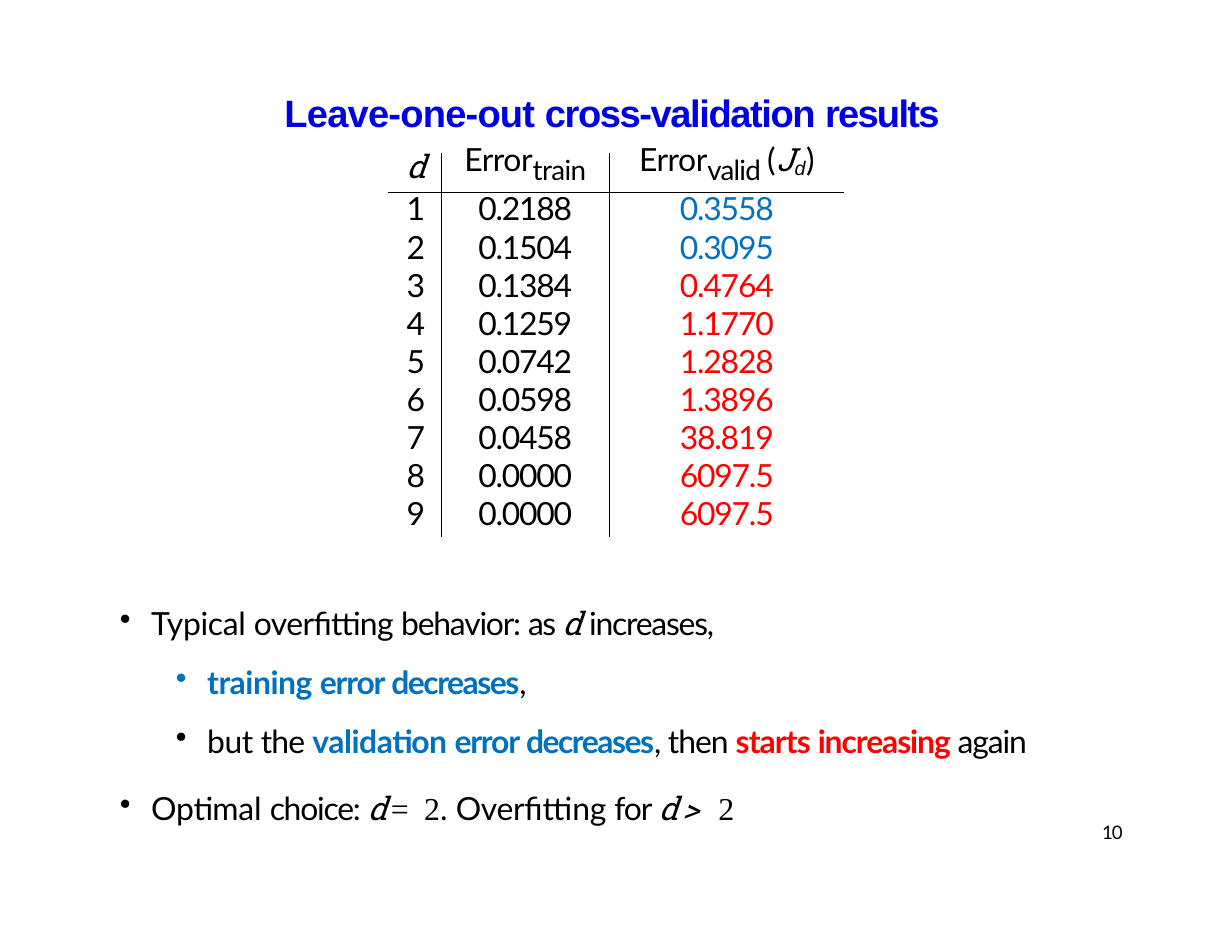
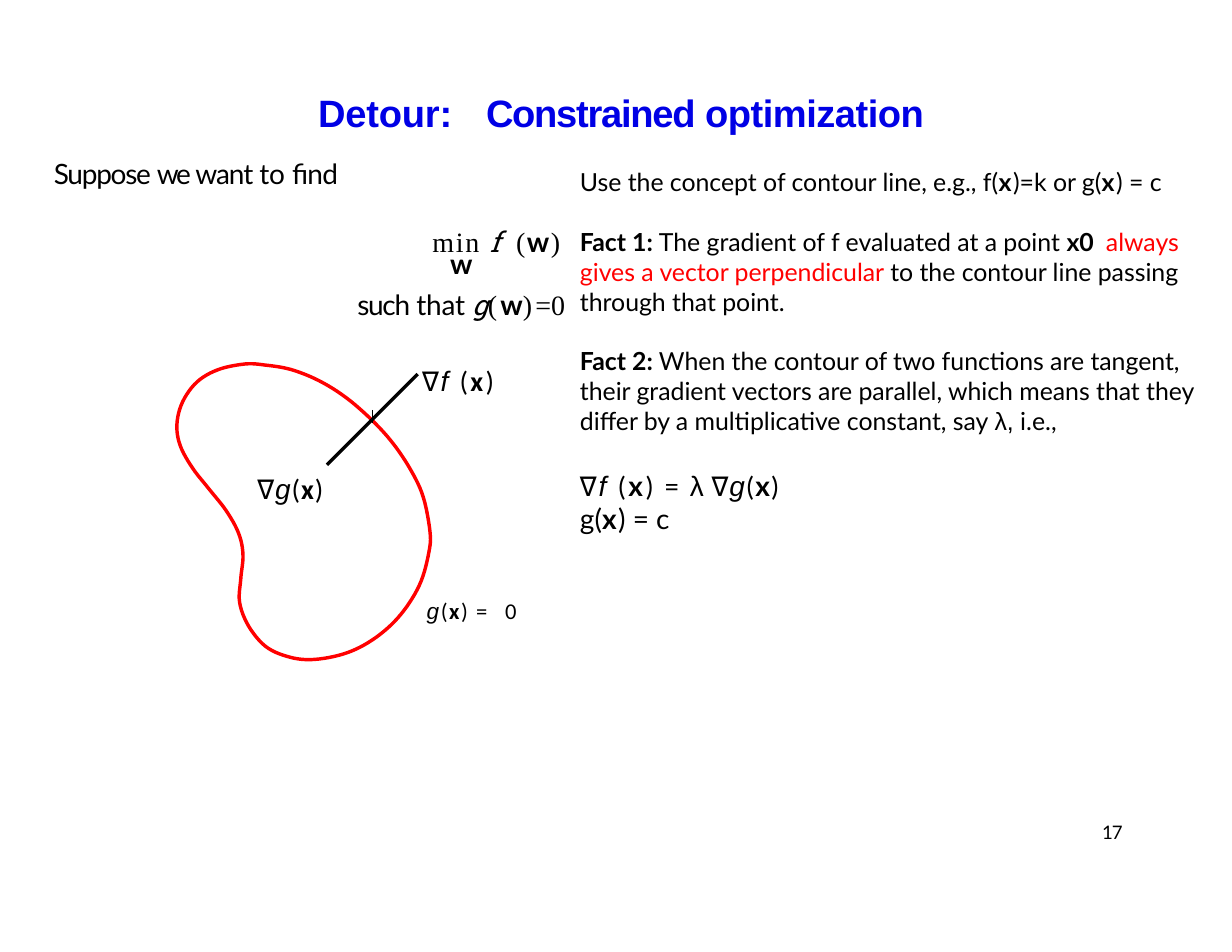
"""Builds two lecture slides on cross-validation and constrained optimization."""
from dataclasses import dataclass, field

from lxml import etree
from pptx import Presentation
from pptx import util as u
from pptx.dml.color import RGBColor
from pptx.enum import shapes, text
from pptx.oxml.ns import qn


@dataclass(frozen=True)
class Theme:
    """Colours, type sizes and faces (font, bold, italic)."""
    black: str = "000000"
    title_blue: str = "0000E5"
    blue: str = "0070C0"
    red: str = "FF0000"
    title: float = 24.5
    body: float = 20.5
    formula: float = 18
    note: float = 16
    label: float = 14.5
    footer: float = 12
    subscript: float = 30.8
    index: float = 21.8
    thin: float = 1
    thick: float = 2.2
    hair: float = 0.25
    plain_table: str = "{2D5ABB26-0587-4C30-8999-92F81FD0307C}"
    faces: dict = field(default_factory=lambda: {
        "title": ("Arial", True, False),
        "plain": ("Lato", False, False),
        "bold": ("Lato", True, False),
        "slab": ("Roboto Slab", False, True),
        "times": ("Times New Roman", False, False),
        "greek": ("Arial", False, False),
        "italic": ("Arial", False, True),
        "nabla": ("DejaVu Sans Mono", False, False),
        "math": ("Calibri", False, False),
        "vector": ("Calibri", True, False),
    })


THEME = Theme()


@dataclass
class Span:
    """A run of text in one face."""
    words: str
    face: str = "plain"
    spacing: float = 0
    color: str = THEME.black
    size: float = 0
    baseline: int = 0


@dataclass
class Para:
    """A paragraph of spans with its layout."""
    spans: list
    indent: float = 0
    hang: float = 0
    before: float = 0
    leading: object = None
    align: object = None
    bullet: str = ""
    tab: float = 0


class Lecture:
    """Holds the style and the current slide."""

    def __init__(self, theme):
        self.theme = theme
        self.deck = Presentation()
        self.deck.slide_width, self.deck.slide_height = u.Inches(11), u.Inches(8.5)
        self.page = None

    def slide(self, number, left, width, title):
        self.page = self.deck.slides.add_slide(self.deck.slide_layouts[6])
        self.text((left, 0.78, width, 0.44), [title], self.theme.title, (0, 0.02, 0, 0))
        footer = Para([Span(number, "plain", -0.6)], indent=0.03, leading=u.Pt(12.4))
        self.text((9.81, 7.36, 0.3, 0.2), [footer], self.theme.footer)

    def text(self, at, paras, size, insets=(0, 0, 0, 0)):
        box = self.page.shapes.add_textbox(*map(u.Inches, at))
        frame = box.text_frame
        frame.word_wrap = True
        (frame.margin_left, frame.margin_top,
         frame.margin_right, frame.margin_bottom) = map(u.Inches, insets)
        self.fill(frame, paras, size)

    def fill(self, frame, paras, size):
        for place, item in enumerate(paras):
            para = frame.add_paragraph() if place else frame.paragraphs[0]
            para.space_before = u.Pt(item.before)
            para.alignment = item.align
            if item.leading:
                para.line_spacing = item.leading
            props = para._p.get_or_add_pPr()
            props.set("marL", str(u.Inches(item.indent)))
            props.set("indent", str(u.Inches(item.hang)))
            if item.bullet:
                etree.SubElement(props, qn("a:buChar"), char=item.bullet)
            if item.tab:
                stops = etree.SubElement(props, qn("a:tabLst"))
                etree.SubElement(stops, qn("a:tab"), pos=str(u.Inches(item.tab)), algn="l")
            for part in item.spans:
                self.span(para, part, size)

    def span(self, para, part, size):
        span = para.add_run()
        span.text = part.words
        font = span.font
        font.name, font.bold, font.italic = self.theme.faces[part.face]
        font.size = u.Pt(part.size or size)
        font.color.rgb = RGBColor.from_string(part.color)
        props = span._r.get_or_add_rPr()
        props.set("spc", str(round(part.spacing * 100)))
        if part.baseline:
            props.set("baseline", str(part.baseline * 1000))

    def line(self, start, end, weight):
        line = self.page.shapes.add_connector(
            shapes.MSO_CONNECTOR.STRAIGHT, *map(u.Inches, (*start, *end)))
        line.line.color.rgb = RGBColor.from_string(self.theme.black)
        line.line.width = u.Pt(weight)
        etree.SubElement(line._element.spPr, qn("a:effectLst"))

    def closed_curve(self, knots, color, weight, steps=6):
        count = len(knots)
        points = []
        for place in range(count):
            a, b, c, d = (knots[(place + shift) % count] for shift in (-1, 0, 1, 2))
            for step in range(steps):
                t = step / steps
                points.append(tuple(
                    u.Inches(q + t * (r - p) / 2 + t * t * (2 * p - 5 * q + 4 * r - s) / 2
                             + t ** 3 * (3 * q - p - 3 * r + s) / 2)
                    for p, q, r, s in zip(a, b, c, d)))
        builder = self.page.shapes.build_freeform(*points[0], scale=1.0)
        builder.add_line_segments(points[1:], close=True)
        curve = builder.convert_to_shape()
        curve.shadow.inherit = False
        curve.fill.background()
        curve.line.color.rgb = RGBColor.from_string(color)
        curve.line.width = u.Pt(weight)

    def table(self, at, widths, heights, rows):
        frame = self.page.shapes.add_table(len(rows), len(widths), *map(u.Inches, at))
        table = frame.table
        table.first_row = table.horz_banding = False
        table._tbl.tblPr.find(qn("a:tableStyleId")).text = self.theme.plain_table
        for column, width in zip(table.columns, widths):
            column.width = u.Inches(width)
        for row, height, paras in zip(table.rows, heights, rows):
            row.height = u.Inches(height)
            for place, (cell, para) in enumerate(zip(row.cells, paras)):
                cell.margin_left = cell.margin_right = cell.margin_top = cell.margin_bottom = 0
                cell.fill.background()
                self.fill(cell.text_frame, [para], self.theme.body)
                if place < len(widths) - 1:
                    self.border(cell, "a:lnR")
                if place:
                    self.border(cell, "a:lnL")

    def border(self, cell, side):
        edge = etree.Element(qn(side), w=str(u.Pt(self.theme.thin)))
        paint = etree.SubElement(edge, qn("a:solidFill"))
        etree.SubElement(paint, qn("a:srgbClr"), val=self.theme.black)
        cell._tc.get_or_add_tcPr().insert(0, edge)


def error_row(leading, degree, train, valid):
    """Lays out one table row."""
    center = text.PP_ALIGN.CENTER
    return [Para(degree, 0.12, leading=leading),
            Para(train, leading=leading, align=center),
            Para(valid, 0.05, leading=leading, align=center)]


def results_slide(lecture):
    """Table of errors by degree and its reading."""
    theme = lecture.theme
    lecture.slide("10", 2.53, 5.95, Para([
        Span("Leave-one-out ", "title", -0.5, theme.title_blue),
        Span("cross-validation ", "title", -0.9, theme.title_blue),
        Span("results", "title", -1.1, theme.title_blue)], indent=0.01, before=1.2))
    lecture.line((3.46, 1.72), (7.54, 1.72), theme.thin)

    train = "0.2188 0.1504 0.1384 0.1259 0.0742 0.0598 0.0458 0.0000 0.0000".split()
    valid = "0.3558 0.3095 0.4764 1.1770 1.2828 1.3896 38.819 6097.5 6097.5".split()
    best = 2
    rows = [error_row(
        u.Pt(21.4),
        [Span("d", "slab")],
        [Span("Error", "plain", -0.3),
         Span("train", "plain", -0.4, size=theme.subscript, baseline=-19)],
        [Span("Error", "plain", -0.3),
         Span("valid ", "plain", -0.5, size=theme.subscript, baseline=-19),
         Span("(", "plain", 0.2), Span("J", "slab", 0.2),
         Span("d", "italic", 0.4, size=theme.index, baseline=-11),
         Span(")", "plain", 0.2)])]
    for degree, (fit, check) in enumerate(zip(train, valid), 1):
        rows.append(error_row(
            u.Pt(18.6 if degree == 1 else 21.8),
            [Span(str(degree))],
            [Span(fit, "plain", -0.8)],
            [Span(check, "plain", -0.8, theme.blue if degree <= best else theme.red)]))
    lecture.table((3.51, 1.37, 3.98, 3.45), (0.43, 1.5, 2.05),
                  [0.4, 0.3] + [0.34] * 7 + [0.35], rows)

    top = dict(indent=0.3, hang=-0.28, leading=1.5, bullet="•")
    sub = dict(top, indent=0.8)
    lecture.text((1.05, 5.21, 8.96, 2.71), [
        Para([Span("Typical ", "plain", -0.2), Span("overfitting ", "plain", -0.4),
              Span("behavior: ", "plain", -0.8), Span("as ", "plain", -1.1),
              Span("d ", "slab", -0.2), Span("increases,", "plain", -0.8)], before=0.9, **top),
        Para([Span("training ", "bold", -0.3, theme.blue),
              Span("error ", "bold", -0.8, theme.blue),
              Span("decreases", "bold", -1, theme.blue),
              Span(",", "plain", -1)], before=0.9, **sub),
        Para([Span("but ", "plain", -0.3), Span("the ", "plain", -0.6),
              Span("validation ", "bold", -0.3, theme.blue),
              Span("error ", "bold", -0.8, theme.blue),
              Span("decreases", "bold", -1, theme.blue),
              Span(", ", "plain", -1), Span("then ", "plain", -0.7),
              Span("starts ", "bold", -0.6, theme.red),
              Span("increasing ", "bold", -0.7, theme.red),
              Span("again", "plain", -0.7)], before=0.9, **sub),
        Para([Span("Optimal ", "plain", -0.1), Span("choice: ", "plain", -0.8),
              Span("d ", "slab", -2.4), Span("= ", "times", 2.3), Span("2", "times"),
              Span(". "), Span("Overfitting ", "plain", -0.2), Span("for ", "plain", -0.7),
              Span("d ", "slab", -2.4), Span("> ", "slab", 3.8),
              Span("2", "times", 0.7)], before=6.2, **top),
    ], theme.body, (0, 0.01, 0, 0))


def optimization_slide(lecture):
    """Constrained problem, contour sketch and the two facts."""
    theme = lecture.theme
    lecture.slide("17", 2.83, 5.6, Para([
        Span("Detour:\t", "title", -0.1, theme.title_blue),
        Span("Constrained ", "title", -0.8, theme.title_blue),
        Span("optimization", "title", -0.3, theme.title_blue)],
        indent=0.01, before=1.2, tab=1.39))

    lecture.text((0.47, 1.38, 5.49, 2.28), [
        Para([Span("Suppose ", "plain", -0.8), Span("we ", "plain", -1.7),
              Span("want ", "plain", -0.7), Span("to ", "plain", -0.1),
              Span("find", "plain", -0.4)], indent=0.01, before=1.1),
        Para([Span("min ", "times", 1.1), Span("f ", "slab", 3), Span("(", "times", 1),
              Span("w", "bold", 1), Span(")", "times", 1)],
             indent=3.39, before=21.7, leading=u.Pt(21.8)),
        Para([Span("w", "bold", -0.6)], indent=3.55, leading=u.Pt(13.9)),
        Para([Span("such ", "plain", -0.8), Span("that ", "plain", -0.1),
              Span("g", "slab", -0.9), Span("(", "times", 2), Span("w", "bold", -0.8),
              Span(")", "times", 2), Span("=", "times"), Span("0", "times", 0.7)],
             indent=2.72, before=5.2),
    ], theme.formula, (0, 0.02, 0, 0))

    def grad_f(face):
        return [Span("∇", "nabla", 1.1), Span("f ", "italic", 1.1), Span("(", "math", 1.5),
                Span("x", face, 1.5), Span(")", "math", 1.5)]

    def grad_g(face):
        return [Span("∇", "nabla", 0.6), Span("g", "italic", 0.6), Span("(", "math", 0.6),
                Span("x", face, 0.6), Span(")", "math", 0.6)]

    inset = (0.1, 0.05, 0.1, 0.05)
    lecture.text((5.08, 1.44, 5.75, 3.74), [
        Para([Span("Use the concept of contour line, e.g., f("), Span("x", "bold", 1),
              Span(")=k or g("), Span("x", "bold", 1), Span(") = c")]),
        Para([Span("Fact 1: ", "bold"),
              Span("The gradient of\u00a0f\u00a0evaluated at a point\u00a0"),
              Span("x0 \u00a0", "bold"),
              Span("always gives a vector perpendicular ", color=theme.red),
              Span("to the contour line passing through that point.")], before=19.2),
        Para([Span("Fact 2:", "bold"),
              Span(" When the contour of two functions are tangent, their gradient vectors "
                   "are parallel, which means that they differ by a multiplicative "
                   "constant, say "),
              Span("λ,", "greek"), Span(" i.e.,")], before=19.2),
    ], theme.note, inset)
    lecture.text((5.08, 4.13, 5.75, 0.8), [
        Para([*grad_f("bold"), Span(" = ", "math", 1.5), Span("λ ", "greek"), *grad_g("bold")]),
        Para([Span("g("), Span("x", "bold", 1), Span(") = c")]),
    ], theme.formula, inset)

    touch = (3.32, 3.75)
    contour = [touch, (3.09, 3.55), (2.85, 3.4), (2.6, 3.3), (2.37, 3.26), (2.19, 3.25),
               (1.95, 3.3), (1.76, 3.41), (1.63, 3.59), (1.58, 3.79), (1.61, 3.98),
               (1.72, 4.18), (1.87, 4.37), (2.02, 4.56), (2.13, 4.76), (2.17, 4.95),
               (2.15, 5.17), (2.14, 5.38), (2.22, 5.59), (2.37, 5.77), (2.56, 5.86),
               (2.77, 5.89), (3.03, 5.85), (3.25, 5.76), (3.46, 5.61), (3.63, 5.42),
               (3.76, 5.19), (3.83, 4.93), (3.84, 4.75), (3.78, 4.44), (3.67, 4.2),
               (3.51, 3.96)]
    lecture.closed_curve(contour, theme.red, theme.thick)
    lecture.line((3.32, 3.66), (3.32, 3.78), theme.hair)
    for tip in ((3.73, 3.34), (2.92, 4.15)):
        lecture.line(touch, tip, theme.thick)
    lecture.text((3.8, 5.31, 0.9, 0.27), [
        Para([Span("g", "italic", 1), Span("(", "math", 1), Span("x", "vector", 1),
              Span(") ", "math", 1), Span("= ", "math", 4.1), Span("0", "math", -0.1)],
             indent=0.01, before=1.1)], theme.label, (0, 0.02, 0, 0))
    lecture.text((2.2, 4.16, 1, 0.4), [Para(grad_g("vector"))], theme.formula, inset)
    lecture.text((3.67, 3.2, 1.1, 0.4), [Para(grad_f("vector"))], theme.formula, inset)


def main():
    """Builds and saves the deck."""
    lecture = Lecture(THEME)
    results_slide(lecture)
    optimization_slide(lecture)
    lecture.deck.save("out.pptx")


if __name__ == "__main__":
    main()
